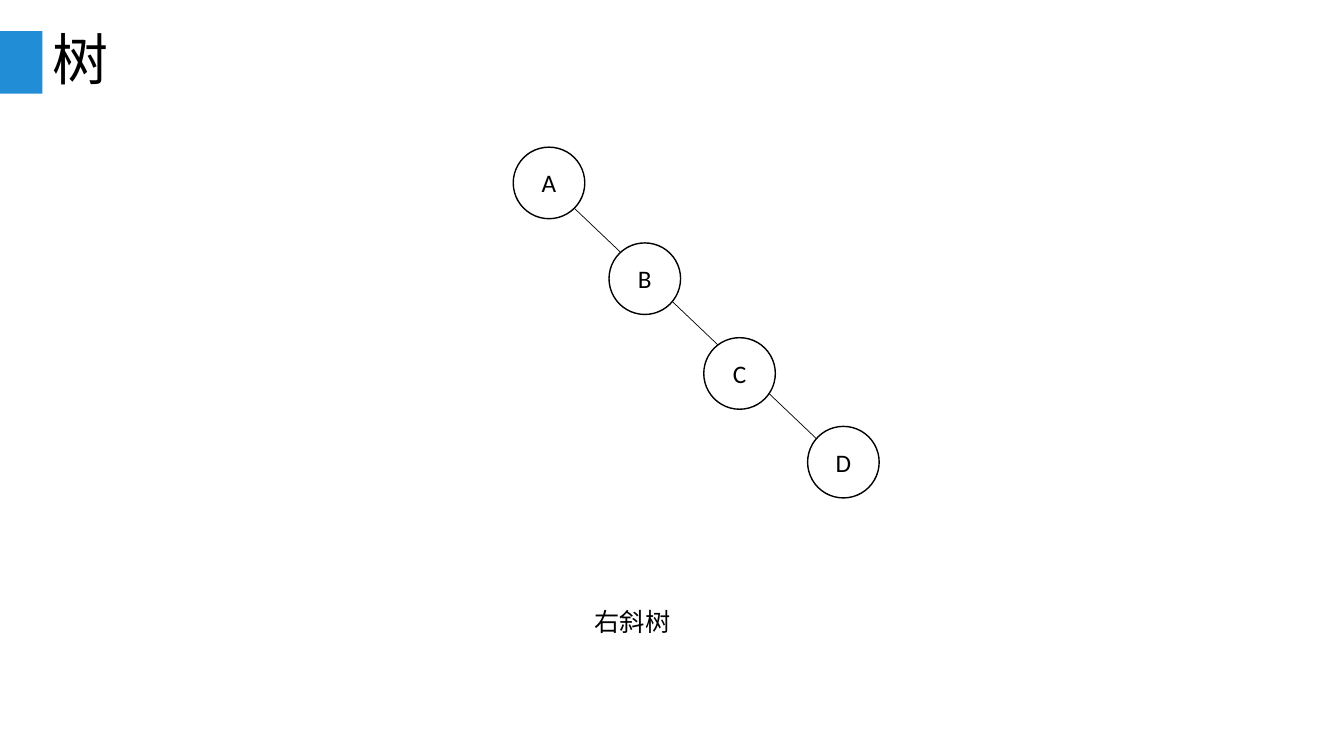
from lxml.etree import SubElement
from pptx import Presentation
from pptx.dml.color import RGBColor
from pptx.enum.shapes import MSO_CONNECTOR, MSO_SHAPE
from pptx.enum.text import MSO_ANCHOR, PP_ALIGN
from pptx.oxml.ns import qn
from pptx.util import Inches, Pt

BLACK = "000000"
WHITE = "FFFFFF"
ACCENT_BLUE = "218DD6"
CHINESE_FONT = "Noto Sans CJK SC"
NODE_SIZE = 0.71
NODES = {"A": (5.09, 1.46), "B": (6.04, 2.41), "C": (6.98, 3.35), "D": (8.01, 4.23)}


def color(hex_value):
    """Return the colour for a hex string."""
    return RGBColor.from_string(hex_value)


def write_text(shape, text, size=18, font="Calibri", align=PP_ALIGN.LEFT,
               anchor=MSO_ANCHOR.TOP, wrap=True, line_spacing=None):
    """Put one formatted paragraph into a shape."""
    frame = shape.text_frame
    frame.word_wrap = wrap
    frame.vertical_anchor = anchor
    paragraph = frame.paragraphs[0]
    paragraph.alignment = align
    paragraph.line_spacing = line_spacing
    run = paragraph.add_run()
    run.text = text
    run.font.size = Pt(size)
    run.font.name = font
    run.font.color.rgb = color(BLACK)
    SubElement(run.font._element, qn("a:ea"), typeface=CHINESE_FONT)


def add_figure(slide, kind, left, top, width, height, fill, line=None):
    """Add a flat preset shape with an optional outline."""
    shape = slide.shapes.add_shape(
        kind, Inches(left), Inches(top), Inches(width), Inches(height))
    shape.shadow.inherit = False
    shape.fill.solid()
    shape.fill.fore_color.rgb = color(fill)
    if line:
        shape.line.color.rgb = color(line)
        shape.line.width = Pt(1)
    else:
        shape.line.fill.background()
    return shape


def add_branch(slide, start, end):
    """Add the thin line that runs behind the tree nodes."""
    points = [Inches(value) for value in (*start, *end)]
    branch = slide.shapes.add_connector(MSO_CONNECTOR.STRAIGHT, *points)
    branch.line.color.rgb = color(BLACK)
    branch.line.width = Pt(0.5)
    SubElement(branch._element.spPr, qn("a:effectLst"))


def add_node(slide, label, left, top):
    """Add one labelled tree node."""
    node = add_figure(slide, MSO_SHAPE.OVAL, left, top, NODE_SIZE, NODE_SIZE, WHITE, BLACK)
    write_text(node, label, align=PP_ALIGN.CENTER, anchor=MSO_ANCHOR.MIDDLE)


def add_title(slide, text):
    """Place and fill the title placeholder."""
    title = slide.shapes.title
    title.left, title.top = Inches(0.42), Inches(0.3)
    title.width, title.height = Inches(12.5), Inches(0.64)
    write_text(title, text, size=40, font=CHINESE_FONT,
               anchor=MSO_ANCHOR.MIDDLE, line_spacing=0.9)


def add_caption(slide, text):
    """Add the caption below the tree."""
    caption = slide.shapes.add_textbox(Inches(5.8), Inches(5.97), Inches(0.96), Inches(0.4))
    write_text(caption, text, wrap=False)


def main():
    """Build the slide and save it."""
    presentation = Presentation()
    presentation.slide_width = Inches(13.33)
    presentation.slide_height = Inches(7.5)
    slide = presentation.slides.add_slide(presentation.slide_layouts[5])
    add_figure(slide, MSO_SHAPE.RECTANGLE, 0, 0.31, 0.42, 0.62, ACCENT_BLUE)
    add_title(slide, "树")
    add_branch(slide, (5.7, 2.07), (8.61, 4.84))
    for label, (left, top) in NODES.items():
        add_node(slide, label, left, top)
    add_caption(slide, "右斜树")
    presentation.save("out.pptx")


if __name__ == "__main__":
    main()
